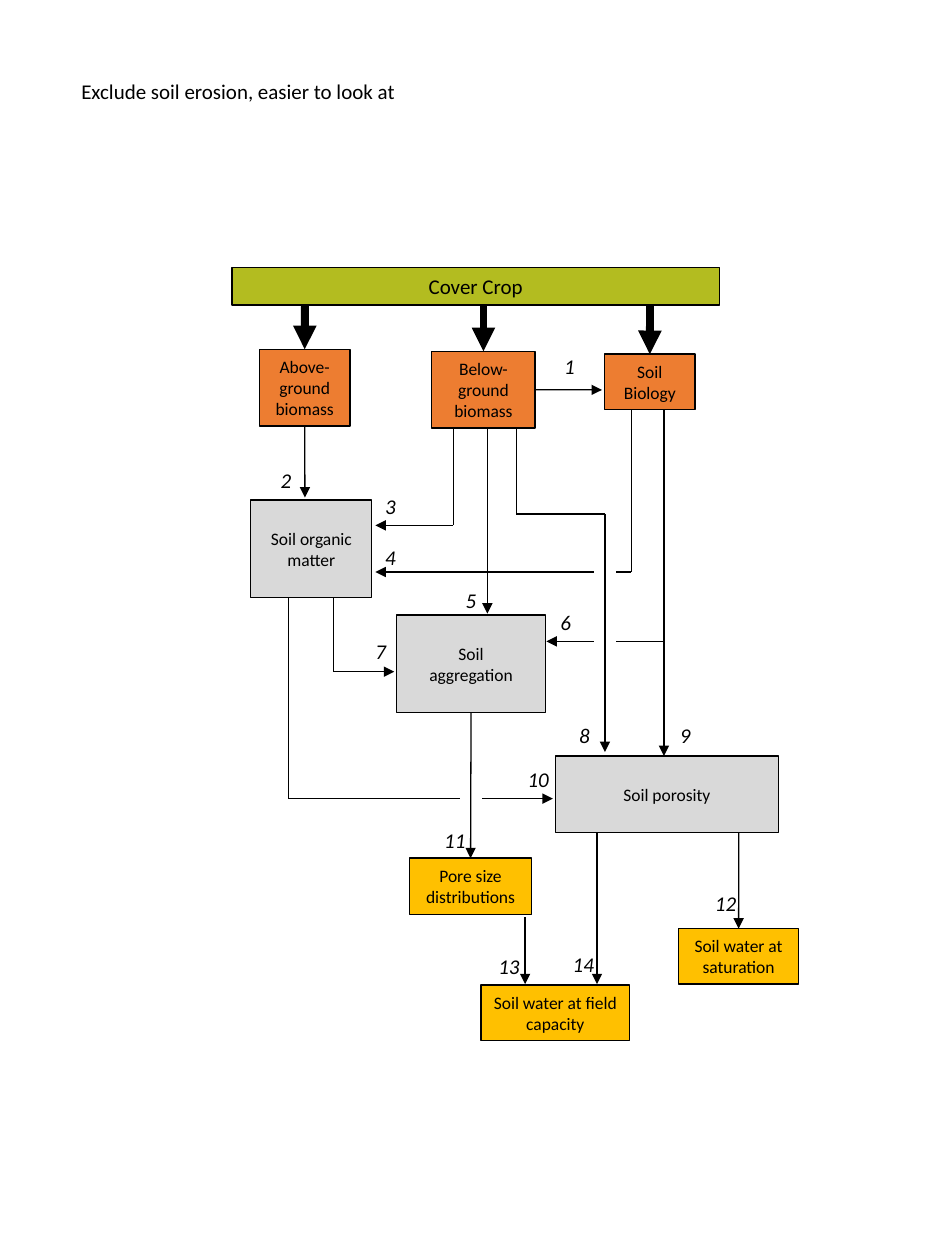
from itertools import pairwise

from pptx import Presentation
from pptx import util as u
from pptx.dml.color import RGBColor
from pptx.enum import shapes, text
from pptx.oxml.ns import qn
from lxml import etree

BLACK, WHITE = "000000", "FFFFFF"
GREEN, ORANGE, GREY, YELLOW = "B3BC20", "ED7D31", "D9D9D9", "FFC000"

# name: (text, fill, left, top, width, height), in cm from the diagram's corner
BOXES = {
    "cover": ("Cover Crop", GREEN, 0.18, 0.39, 9.83, 0.76),
    "above": ("Above-ground biomass", ORANGE, 0.73, 2.04, 1.83, 1.55),
    "below": ("Below-ground biomass", ORANGE, 4.21, 2.08, 2.08, 1.55),
    "biology": ("Soil Biology", ORANGE, 7.69, 2.14, 1.83, 1.12),
    "organic": ("Soil organic matter", GREY, 0.56, 5.08, 2.44, 1.96),
    "aggregation": ("Soil\naggregation", GREY, 3.5, 7.4, 3, 1.96),
    "porosity": ("Soil porosity", GREY, 6.7, 10.24, 4.5, 1.55),
    "pores": ("Pore size distributions", YELLOW, 3.76, 12.3, 2.46, 1.14),
    "capacity": ("Soil water at field capacity", YELLOW, 5.2, 14.86, 3, 1.12),
    "saturation": ("Soil water at saturation", YELLOW, 9.19, 13.72, 2.41, 1.12),
}

# A stop is a point or a (box name, connection site) pair
COVER_ROUTES = [
    [(1.65, 1.15), ("above", 0)],
    [(5.25, 1.15), ("below", 0)],
    [(8.61, 1.15), ("biology", 0)],
]
LOWER_ROUTES = [
    [("below", 3), (7.64, 2.86)],
    [("above", 2), (1.65, 5.03)],
    [(4.64, 3.63), (4.64, 5.59), (3.07, 5.59)],
    [(8.23, 3.26), (8.23, 6.53), (3.07, 6.53)],
    [(5.33, 3.63), (5.33, 7.37)],
    [(8.89, 7.93), (6.52, 7.93)],
    [(2.23, 7.04), (2.23, 8.54), (3.45, 8.54)],
    [(8.89, 3.26), (8.89, 10.24)],
    [(1.32, 7.04), (1.32, 11.1), (6.65, 11.1)],
    [(10.4, 11.79), ("saturation", 0)],
    [(6.09, 13.49), (6.09, 14.84)],
    [(7.54, 11.79), (7.54, 14.84)],
]
UPPER_ROUTES = [
    [(5.91, 3.63), (5.91, 5.36), (7.7, 5.36), (7.7, 10.16)],
    [("aggregation", 2), ("pores", 0)],
]
CROSSINGS = [(7.7, 6.53), (7.7, 7.93), (5, 11.1)]

# Where the labels 1 to 14 stand
LABELS = [(6.63, 2.01), (0.91, 4.3), (3.02, 4.83), (3.02, 5.85), (4.64, 6.71),
          (6.55, 7.17), (2.82, 7.75), (6.93, 9.45), (8.96, 9.45), (5.89, 10.32),
          (4.21, 11.56), (9.67, 12.83), (5.3, 14.1), (6.8, 14.05)]


def color(value):
    return RGBColor.from_string(value)


def write(shape, words, size=10, italic=False, align=text.PP_ALIGN.LEFT,
          anchor=text.MSO_ANCHOR.TOP, wrap=True):
    frame = shape.text_frame
    frame.word_wrap = wrap
    frame.vertical_anchor = anchor
    for number, line in enumerate(words.split("\n")):
        para = frame.add_paragraph() if number else frame.paragraphs[0]
        para.alignment = align
        span = para.add_run()
        span.text = line
        span.font.name = "Calibri"
        span.font.size = u.Pt(size)
        span.font.italic = italic
        span.font.color.rgb = color(BLACK)


def add_text(page, words, left, top, width, height, **style):
    box = page.shapes.add_textbox(u.Cm(left), u.Cm(top), u.Cm(width), u.Cm(height))
    write(box, words, **style)


def add_rectangle(page, left, top, width, height, fill, line):
    shape = page.shapes.add_shape(shapes.MSO_SHAPE.RECTANGLE, u.Cm(left),
                                  u.Cm(top), u.Cm(width), u.Cm(height))
    shape.shadow.inherit = False
    shape.fill.solid()
    shape.fill.fore_color.rgb = color(fill)
    shape.line.color.rgb = color(line)
    shape.line.width = u.Pt(0.75)
    return shape


def add_line(page, start, end, boxes, left, top, weight, arrow):
    """Draw one segment, joined to a box wherever a stop names one."""
    line = page.shapes.add_connector(shapes.MSO_CONNECTOR.STRAIGHT, 0, 0, 0, 0)
    if start[0] in boxes:
        line.begin_connect(boxes[start[0]], start[1])
    else:
        line.begin_x, line.begin_y = u.Cm(left + start[0]), u.Cm(top + start[1])
    if end[0] in boxes:
        line.end_connect(boxes[end[0]], end[1])
    else:
        line.end_x, line.end_y = u.Cm(left + end[0]), u.Cm(top + end[1])
    line.line.color.rgb = color(BLACK)
    line.line.width = u.Pt(weight)
    properties = line._element.spPr
    if arrow:
        etree.SubElement(properties.find(qn("a:ln")), qn("a:tailEnd"), type="triangle")
    etree.SubElement(properties, qn("a:effectLst"))


def add_routes(page, routes, boxes, left, top, weight=0.75):
    for route in routes:
        for start, end in pairwise(route):
            add_line(page, start, end, boxes, left, top, weight, end is route[-1])


def add_diagram(page, left, top):
    boxes = {}
    for name, (words, fill, x, y, width, height) in BOXES.items():
        boxes[name] = add_rectangle(page, left + x, top + y, width, height, fill, BLACK)
        write(boxes[name], words, size=12 if name == "cover" else 10,
              align=text.PP_ALIGN.CENTER, anchor=text.MSO_ANCHOR.MIDDLE)
        boxes[name].text_frame.margin_left = u.Cm(0.2)
        boxes[name].text_frame.margin_right = u.Cm(0.2)

    add_routes(page, COVER_ROUTES, boxes, left, top, weight=4.5)
    add_routes(page, LOWER_ROUTES, boxes, left, top)
    gap_width, gap_height = 0.41, 0.25
    for x, y in CROSSINGS:
        add_rectangle(page, left + x - gap_width / 2, top + y - gap_height / 2,
                      gap_width, gap_height, WHITE, WHITE)
    add_routes(page, UPPER_ROUTES, boxes, left, top)

    for number, (x, y) in enumerate(LABELS, start=1):
        add_text(page, str(number), left + x, top + y, 0.74 if number < 10 else 0.94,
                 0.76, size=12, italic=True, wrap=False)


def main():
    deck = Presentation()
    deck.slide_width, deck.slide_height = u.Inches(7.4), u.Inches(10)
    page = deck.slides.add_slide(deck.slide_layouts[6])
    add_text(page, "Exclude soil erosion, easier to look at",
             1.39, 1.46, 15.98, 0.76, size=12)
    add_diagram(page, left=4.5, top=5)
    deck.save("out.pptx")


if __name__ == "__main__":
    main()
